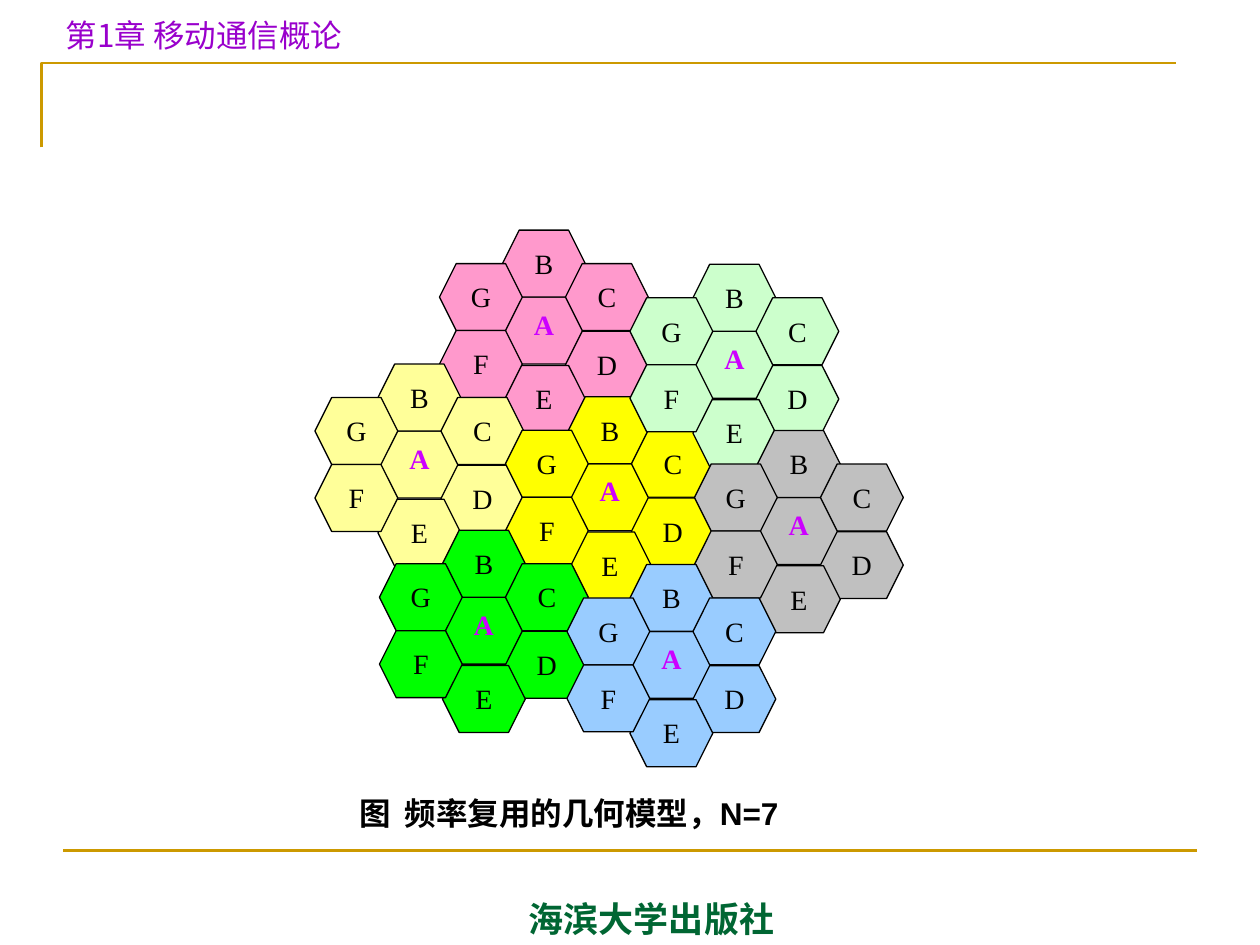
from lxml.etree import SubElement
from pptx import Presentation
from pptx.dml.color import RGBColor
from pptx.enum.shapes import MSO_CONNECTOR, MSO_SHAPE
from pptx.enum.text import MSO_ANCHOR, MSO_AUTO_SIZE, PP_ALIGN
from pptx.oxml.ns import qn
from pptx.util import Cm, Pt

GOLD, BLACK = "CC9900", "000000"
CJK_FONT = "Noto Sans CJK JP"

CELL_WIDTH, CELL_HEIGHT = 1.67, 1.35
COLUMN_STEP, ROW_STEP = 1.27, 1.35
# Columns and rows from the centre cell, in stacking order
CELLS = {"A": (0, 0), "B": (0, -1), "C": (1, -0.5), "D": (1, 0.51),
         "G": (-1, -0.5), "E": (0, 1.02), "F": (-1, 0.5)}
# Left and top of each cluster's centre cell, and the cluster's fill
CLUSTERS = [(10.13, 5.99, "FF99CC"), (7.62, 8.69, "FFFF99"),
            (11.46, 9.35, "FFFF00"), (13.97, 6.68, "CCFFCC"),
            (15.27, 10.03, "C0C0C0"), (8.92, 12.04, "00FF00"),
            (12.7, 12.73, "99CCFF")]

CHAPTER_FORMAT = {"name": CJK_FONT, "size": Pt(18), "bold": False}
CAPTION_FORMAT = {"name": "Arial", "size": Pt(18), "bold": True}
PUBLISHER_FORMAT = {"name": "Arial", "size": Pt(20), "bold": True}
CELL_FORMAT = {"name": "Times New Roman", "size": Pt(16), "bold": False}


def color(hex_string):
    return RGBColor.from_string(hex_string)


def write(shape, text, font_format, hex_string, align=PP_ALIGN.LEFT,
          anchor=MSO_ANCHOR.TOP):
    frame = shape.text_frame
    frame_format = {"word_wrap": True, "auto_size": MSO_AUTO_SIZE.NONE,
                    "vertical_anchor": anchor}
    for name, value in frame_format.items():
        setattr(frame, name, value)
    paragraph = frame.paragraphs[0]
    paragraph.alignment = align
    run = paragraph.add_run()
    run.text = text
    for name, value in font_format.items():
        setattr(run.font, name, value)
    run.font.color.rgb = color(hex_string)
    SubElement(run._r.get_or_add_rPr(), qn("a:ea"), typeface=CJK_FONT)


def style_line(line, hex_string, width):
    line.color.rgb = color(hex_string)
    line.width = Pt(width)


def add_header(slide, left, top, width, height):
    # Chapter title
    title = slide.shapes.title
    box = {"left": left + 0.23, "top": top - 1.07, "width": 11, "height": 1.02}
    for name, value in box.items():
        setattr(title, name, Cm(value))
    write(title, "第1章 移动通信概论", CHAPTER_FORMAT, "9900CC")

    # Corner rule
    builder = slide.shapes.build_freeform(Cm(left), Cm(top + height))
    builder.add_line_segments([(Cm(left), Cm(top)),
                               (Cm(left + width), Cm(top))], close=False)
    corner = builder.convert_to_shape()
    corner.shadow.inherit = False
    corner.fill.background()
    style_line(corner.line, GOLD, 1.5)


def add_footer(slide, left, top, width):
    rule = slide.shapes.add_connector(
        MSO_CONNECTOR.STRAIGHT, Cm(left), Cm(top), Cm(left + width), Cm(top))
    style_line(rule.line, GOLD, 1.5)
    SubElement(rule._element.spPr, qn("a:effectLst"))

    publisher = slide.shapes.add_textbox(
        Cm(left + 4.88), Cm(top + 0.81), Cm(13.97), Cm(1.09))
    write(publisher, "海滨大学出版社", PUBLISHER_FORMAT, "006633",
          PP_ALIGN.CENTER)


def add_cluster(slide, left, top, fill):
    group = slide.shapes.add_group_shape()
    for letter, (column, row) in CELLS.items():
        cell = group.shapes.add_shape(
            MSO_SHAPE.HEXAGON,
            Cm(left + column * COLUMN_STEP), Cm(top + row * ROW_STEP),
            Cm(CELL_WIDTH), Cm(CELL_HEIGHT))
        cell.adjustments[0] = 0.25
        cell.shadow.inherit = False
        cell.fill.solid()
        cell.fill.fore_color.rgb = color(fill)
        style_line(cell.line, BLACK, 0.75)
        is_center = letter == "A"
        write(cell, letter, {**CELL_FORMAT, "bold": is_center},
              "CC00FF" if is_center else BLACK, PP_ALIGN.CENTER)
        if is_center:
            for side in ("left", "top", "right", "bottom"):
                setattr(cell.text_frame, f"margin_{side}", 0)


def add_caption(slide, left, top, width, height):
    caption = slide.shapes.add_textbox(
        Cm(left), Cm(top), Cm(width), Cm(height))
    write(caption, "图  频率复用的几何模型，N=7", CAPTION_FORMAT, BLACK,
          anchor=MSO_ANCHOR.MIDDLE)


def main():
    presentation = Presentation()
    presentation.slide_width, presentation.slide_height = Cm(25.4), Cm(19.05)
    slide = presentation.slides.add_slide(presentation.slide_layouts[5])

    add_header(slide, 0.84, 1.27, 22.86, 1.7)
    add_footer(slide, 1.27, 17.15, 22.86)
    for left, top, fill in CLUSTERS:
        add_cluster(slide, left, top, fill)
    add_caption(slide, 6.99, 15.88, 9.58, 1.02)

    presentation.save("out.pptx")


if __name__ == "__main__":
    main()
